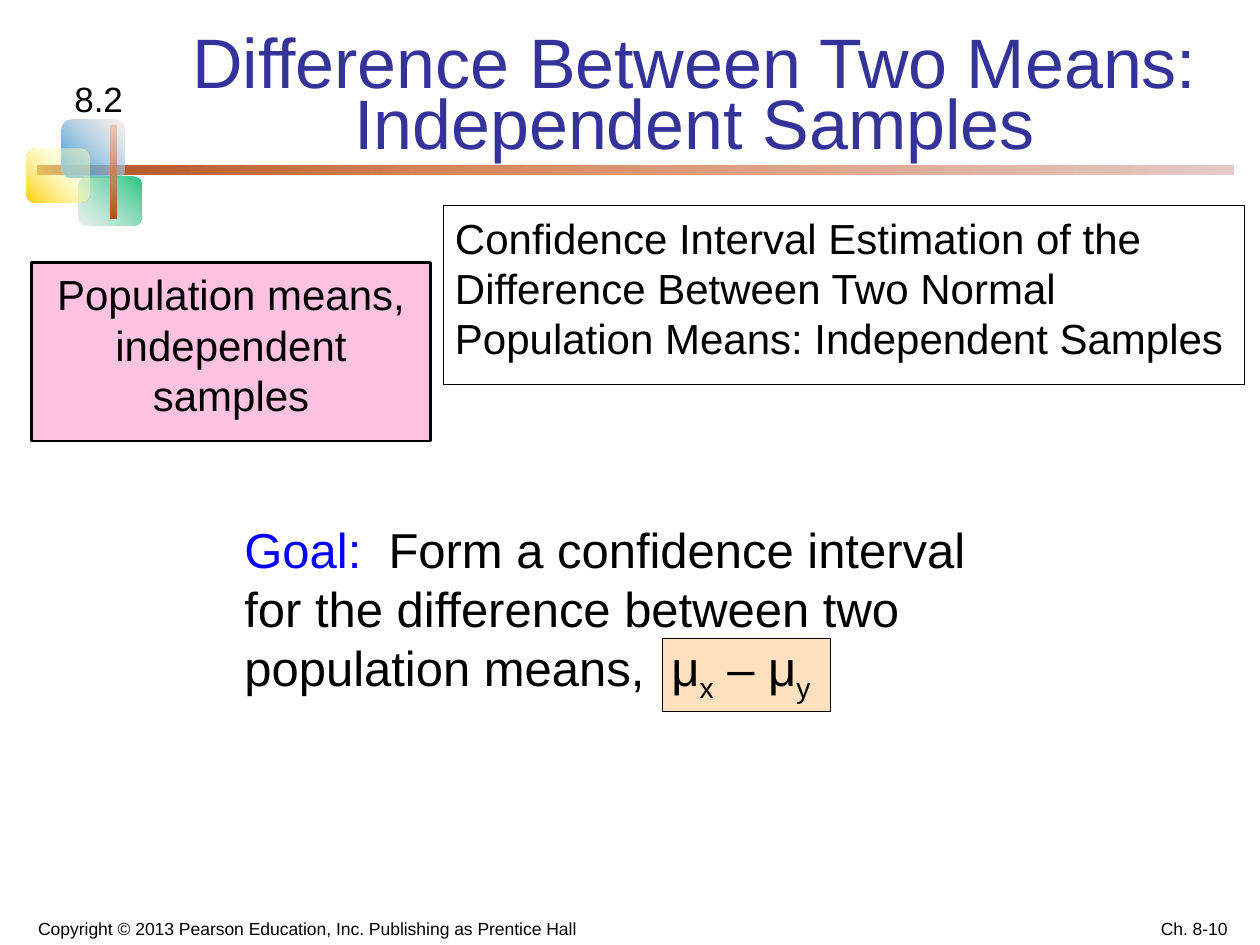
from dataclasses import dataclass

from lxml.etree import SubElement
from pptx import Presentation
from pptx.dml.color import RGBColor
from pptx.enum.shapes import MSO_SHAPE
from pptx.enum.text import MSO_ANCHOR, MSO_AUTO_SIZE, PP_ALIGN
from pptx.oxml.ns import qn
from pptx.util import Inches, Pt

COLS, ROWS = 120, 90


@dataclass(frozen=True)
class Theme:
    font: str = "Arial"
    title: str = "333399"
    ink: str = "000000"
    goal: str = "0000FF"
    pink: str = "FCC2E0"
    peach: str = "FDE0BD"
    # Gradient stops: position %, colour, opacity %
    bar: tuple = ((0, "AE511E", 100), (37, "D88A5E", 100), (100, "E4C9C6", 100))
    blue: tuple = ((0, "2895D8", 100), (100, "F7E2D9", 50))
    green: tuple = ((0, "25C580", 100), (100, "CCE2D9", 50))
    yellow: tuple = ((0, "FFCF01", 100), (63, "FCFCBC", 50))
    post: tuple = ((0, "AE511E", 100), (100, "EAA782", 50))
    title_pt: int = 40
    goal_pt: int = 28
    body_pt: int = 24
    section_pt: int = 20
    footer_pt: int = 10


def write(tf, *runs, font, size, color, align=PP_ALIGN.LEFT,
          anchor=MSO_ANCHOR.TOP, fit=MSO_AUTO_SIZE.NONE, spacing=None):
    """Fill a text frame; a run is text or (text, its own colour or None, baseline)."""
    tf.word_wrap = True
    tf.auto_size = fit
    tf.vertical_anchor = anchor
    tf.margin_left = tf.margin_right = Inches(0.09)
    tf.margin_top = tf.margin_bottom = Inches(0.05)
    p = tf.paragraphs[0]
    pPr = p._p.get_or_add_pPr()
    pPr.set("marL", "0")
    pPr.set("indent", "0")
    SubElement(pPr, qn("a:buNone"))
    p.alignment = align
    p.space_before = Pt(0)
    if spacing:
        p.line_spacing = Pt(spacing)
    for run in runs:
        text, own_color, baseline = (run, None, 0) if isinstance(run, str) else run
        for i, line in enumerate(text.split("\n")):
            if i:
                p.add_line_break()
            r = p.add_run()
            r.text = line
            r.font.name = font
            r.font.size = Pt(size)
            r.font.color.rgb = RGBColor.from_string(own_color or color)
            if baseline:
                r.font._element.set("baseline", str(baseline * 1000))


class SlideBuilder:
    def __init__(self, prs, theme):
        self.prs, self.theme = prs, theme
        self.s = prs.slides.add_slide(prs.slide_layouts[1])

    def place(self, left, top, width, height):
        """Turn grid columns and rows into slide lengths."""
        x, y = self.prs.slide_width / COLS, self.prs.slide_height / ROWS
        return round(left * x), round(top * y), round(width * x), round(height * y)

    def outline(self, sp, width):
        sp.line.color.rgb = RGBColor.from_string(self.theme.ink)
        sp.line.width = Pt(width)

    def box(self, at, fill, line):
        sp = self.s.shapes.add_shape(MSO_SHAPE.RECTANGLE, *self.place(*at))
        sp.shadow.inherit = False
        sp.fill.solid()
        sp.fill.fore_color.rgb = RGBColor.from_string(fill)
        self.outline(sp, line)

    def gradient_tile(self, at, stops, angle):
        sp = self.s.shapes.add_shape(MSO_SHAPE.ROUNDED_RECTANGLE, *self.place(*at))
        sp.shadow.inherit = False
        sp.line.fill.background()
        sp.fill.gradient()
        grad = sp._element.spPr.find(qn("a:gradFill"))
        gs_list = grad.find(qn("a:gsLst"))
        for gs in list(gs_list):
            gs_list.remove(gs)
        for pos, color, opacity in stops:
            gs = SubElement(gs_list, qn("a:gs"), pos=str(pos * 1000))
            clr = SubElement(gs, qn("a:srgbClr"), val=color)
            if opacity < 100:
                SubElement(clr, qn("a:alpha"), val=str(opacity * 1000))
        grad.find(qn("a:lin")).set("ang", str(angle * 60000))

    def text(self, at, *runs, size, **style):
        sp = self.s.shapes.add_textbox(*self.place(*at))
        write(sp.text_frame, *runs, font=self.theme.font, size=size,
              color=self.theme.ink, **style)

    def placeholder(self, idx, at, *runs, size, color, line=None, **style):
        """Format a template placeholder and bring it to the front."""
        sp = self.s.placeholders[idx]
        sp.left, sp.top, sp.width, sp.height = self.place(*at)
        sp.element.getparent().append(sp.element)
        if line:
            self.outline(sp, line)
        write(sp.text_frame, *runs, font=self.theme.font, size=size,
              color=color, **style)


def main():
    prs = Presentation()
    prs.slide_width, prs.slide_height = Inches(10), Inches(7.5)
    t = Theme()
    b = SlideBuilder(prs, t)
    grow = MSO_AUTO_SIZE.SHAPE_TO_FIT_TEXT
    center, bottom = PP_ALIGN.CENTER, MSO_ANCHOR.BOTTOM

    for at, stops, angle in (
        ((3.5, 15.7, 114, 1), t.bar, 0),
        ((5.85, 11.4, 6, 5.5), t.blue, 315),
        ((7.45, 16.8, 6, 4.7), t.green, 135),
        ((2.5, 14.15, 6, 5.1), t.yellow, 315),
        ((10.5, 12, 0.6, 8.8), t.post, 270),
    ):
        b.gradient_tile(at, stops, angle)

    b.placeholder(0, (15, 2.4, 102.25, 13.8),
                  "Difference Between Two Means:\nIndependent Samples",
                  size=t.title_pt, color=t.title, align=center,
                  anchor=bottom, spacing=35)
    b.placeholder(1, (42.25, 19.6, 76.3, 17),
                  "Confidence Interval Estimation of the Difference Between "
                  "Two Normal Population Means: Independent Samples",
                  size=t.body_pt, color=t.ink, line=0.75)

    b.text((0, 85.8, 58.5, 4.2),
           "Copyright © 2013 Pearson Education, Inc. Publishing as Prentice Hall",
           size=t.footer_pt, align=center, anchor=bottom)
    b.box((3, 25, 38, 17), t.pink, 1.5)
    b.text((4, 25, 36, 15.6), "Population means, independent samples",
           size=t.body_pt, align=center, fit=grow)
    b.text((90, 85.8, 28, 4.2), "Ch. 8-10",
           size=t.footer_pt, align=PP_ALIGN.RIGHT, anchor=bottom)
    b.text((4.4, 6.75, 10, 5.25), "8.2", size=t.section_pt, align=center, fit=grow)

    b.box((63.1, 60.8, 16, 7), t.peach, 0.75)
    b.text((22.2, 48.9, 72, 18), ("Goal:  ", t.goal, 0),
           "Form a confidence interval for the difference between two "
           "population means,  μ",
           ("x", None, -25), " – μ", ("y", None, -25),
           size=t.goal_pt, fit=grow)

    prs.save("out.pptx")


if __name__ == "__main__":
    main()
